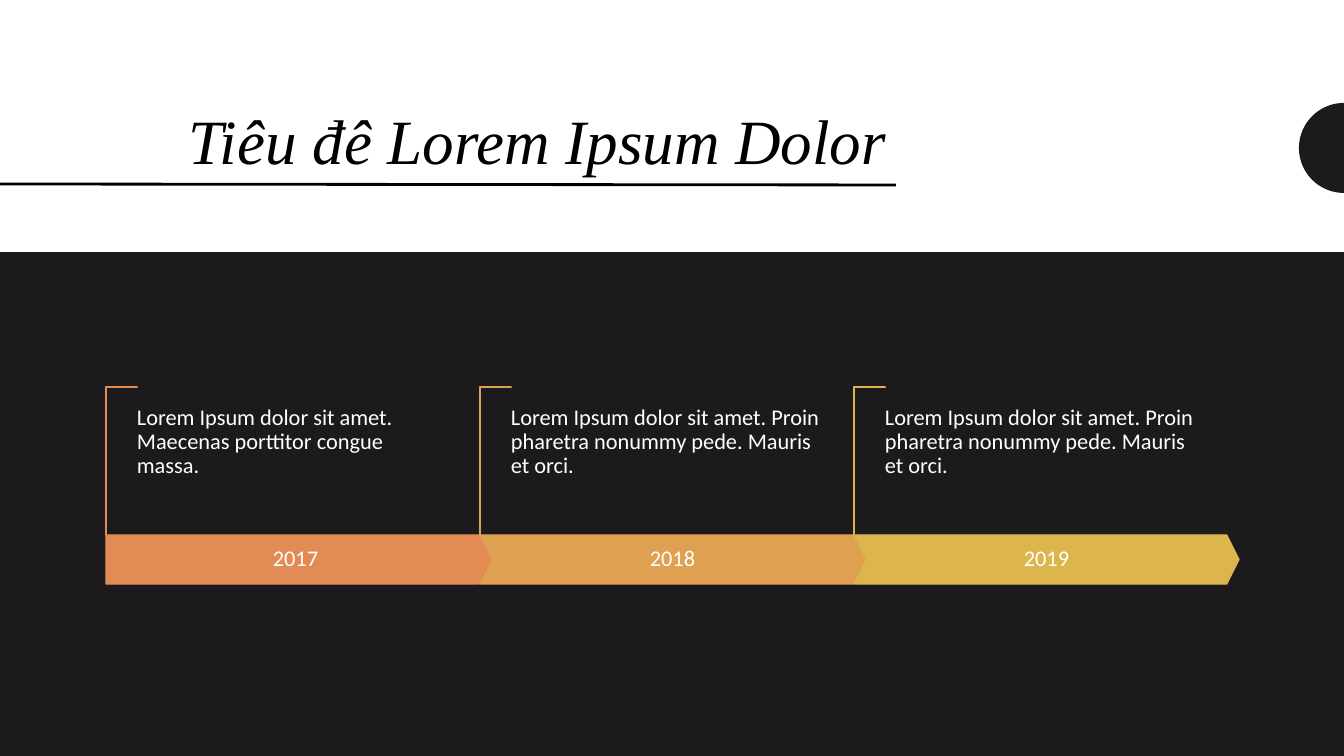
import math
import pptx
import pptx.util
import pptx.dml.color
import pptx.enum.shapes
import pptx.enum.text
import pptx.oxml

KIND = pptx.enum.shapes.MSO_SHAPE
ALIGN = pptx.enum.text.PP_ALIGN
ANCHOR = pptx.enum.text.MSO_ANCHOR

TITLE = "Tiêu đê Lorem Ipsum Dolor"
LONG = "Lorem Ipsum dolor sit amet. Proin pharetra nonummy pede. Mauris et orci."
STEPS = [
    ("2017", "Lorem Ipsum dolor sit amet. Maecenas porttitor congue massa.",
     "E28B55", KIND.PENTAGON, 0, 379),
    ("2018", LONG, "DFA051", KIND.CHEVRON, 12, 361),
    ("2019", LONG, "DCB64D", KIND.CHEVRON, 12, 361),
]
DARK, WHITE, BLACK = "1D1A1D", "FFFFFF", "000000"
WIDE, HIGH = 1344, 756
LEFT, PITCH = 106, 374
BAR_TOP, BAR_WIDE, BAR_HIGH = 535, 385, 49
POST, HOOK = 148, 31


def px(size):
    return round(size * 914400 / 100.8)


def tint(code):
    return pptx.dml.color.RGBColor.from_string(code)


def paint(shape, fill, line=None):
    shape.shadow.inherit = False
    shape.fill.solid()
    shape.fill.fore_color.rgb = tint(fill)
    if line:
        shape.line.color.rgb = tint(line)
        shape.line.width = pptx.util.Pt(1)
    else:
        shape.line.fill.background()


def block(kind, left, top, wide, high, fill, line=None):
    shape = slide.shapes.add_shape(kind, px(left), px(top), px(wide), px(high))
    paint(shape, fill, line)
    return shape


def write(text, left, top, wide, high, size, font, color, align, anchor, inset):
    box = slide.shapes.add_textbox(px(left), px(top), px(wide), px(high))
    frame = box.text_frame
    frame.word_wrap = True
    frame.vertical_anchor = anchor
    frame.margin_left = frame.margin_right = px(inset[0])
    frame.margin_top = frame.margin_bottom = px(inset[1])
    frame.text = text
    para = frame.paragraphs[0]
    para.alignment = align
    para.line_spacing = 0.9
    run = para.runs[0]
    run.font.size = pptx.util.Pt(size)
    run.font.name = font
    run.font.color.rgb = tint(color)
    return run


deck = pptx.Presentation()
deck.slide_width, deck.slide_height = px(WIDE), px(HIGH)
slide = deck.slides.add_slide(deck.slide_layouts[6])
slide.background.fill.solid()
slide.background.fill.fore_color.rgb = tint(DARK)

block(KIND.RECTANGLE, 0, 0, WIDE, HIGH, DARK)
block(KIND.RECTANGLE, 0, 0, WIDE, 252, WHITE)
head = write(TITLE, 106, 47, 790, 136, 45, "Times New Roman", BLACK,
             ALIGN.RIGHT, ANCHOR.BOTTOM, (10, 5))
head.font.italic = True

rule = slide.shapes.add_connector(
    pptx.enum.shapes.MSO_CONNECTOR.STRAIGHT, px(0), px(184), px(896), px(185))
rule.line.color.rgb = tint(BLACK)
rule.line.width = pptx.util.Pt(2)
rule._element.spPr.append(pptx.oxml.parse_xml(
    '<a:effectLst xmlns:a="http://schemas.openxmlformats.org/drawingml/2006/main"/>'))

mid, reach = 148, 45
arc = [(px(WIDE - reach * math.sin(math.radians(turn))),
        px(mid + reach * math.cos(math.radians(turn))))
       for turn in range(0, 181, 4)]
dome = slide.shapes.build_freeform(*arc[0])
dome.add_line_segments(arc[1:], close=True)
paint(dome.convert_to_shape(), DARK)

for spot, (year, note, color, kind, shift, room) in enumerate(STEPS):
    left = LEFT + spot * PITCH
    hook = block(KIND.HALF_FRAME, left + (HOOK - POST) / 2,
                 BAR_TOP - (POST + HOOK) / 2, POST, HOOK, WHITE, color)
    hook.adjustments[0] = hook.adjustments[1] = 0.01
    hook._element.spPr.prstGeom.set("prst", "corner")
    hook.rotation = 90
    bar = block(kind, left, BAR_TOP, BAR_WIDE, BAR_HIGH, color, color)
    bar.adjustments[0] = 0.25
    write(year, left + shift, BAR_TOP, room, BAR_HIGH, 16, "Calibri", WHITE,
          ALIGN.CENTER, ANCHOR.MIDDLE, (11, 22))
    write(note, left + HOOK, 406, 312, 76, 16, "Calibri", WHITE,
          ALIGN.LEFT, ANCHOR.TOP, (0, 0))

deck.save("out.pptx")
